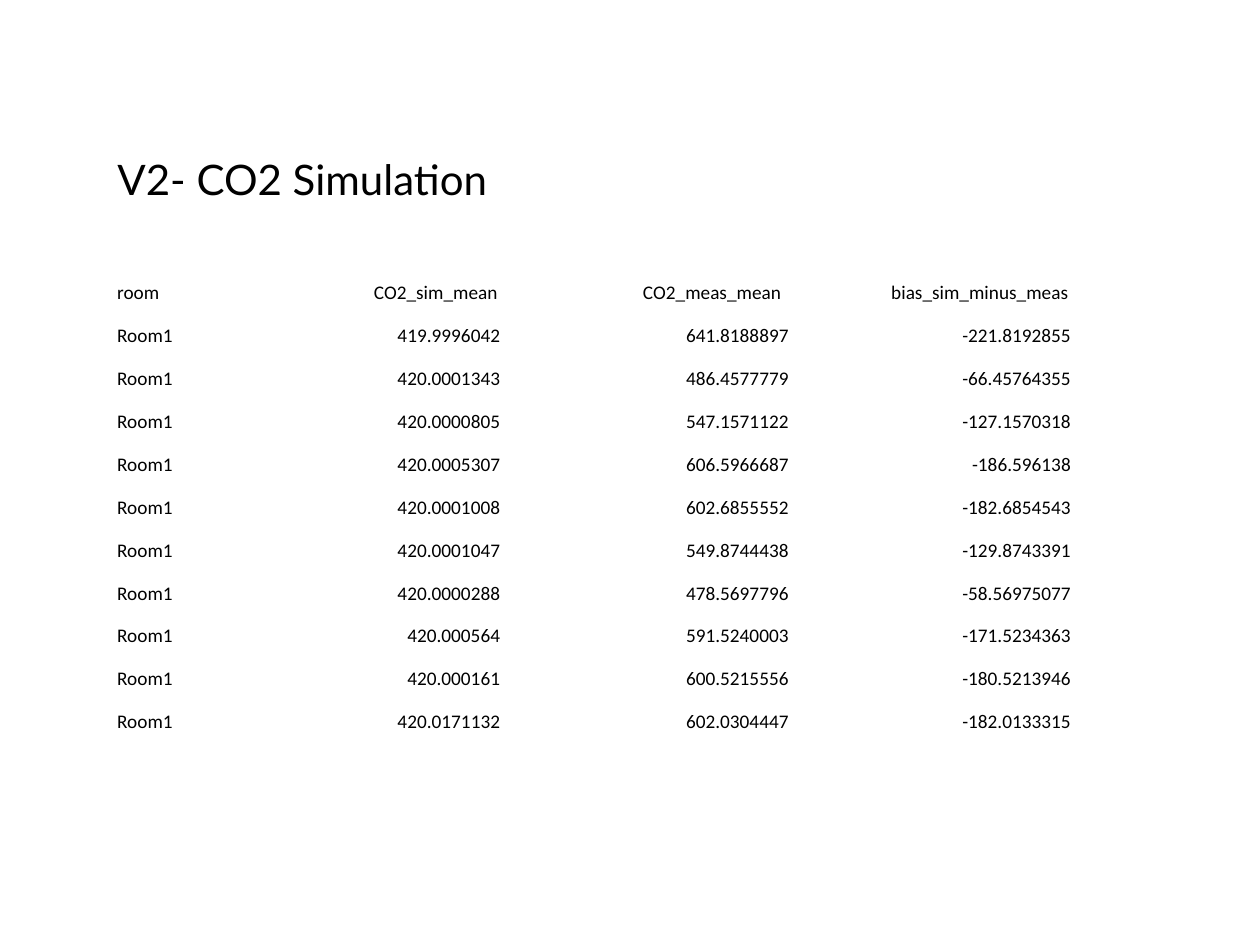
"""Build a slide that tabulates simulated against measured CO2 means."""
import pptx
import pptx.util
import pptx.dml.color
import pptx.enum.text

COLORS = {"text": "000000"}
WIDTH, HEIGHT = 10, 7.5
COLUMN_WIDTHS = [1, 2.06, 2.29, 2.24]
ROW_HEIGHT = 3.75 / 11
CELL_INSET = 0.01
HEADER_INSETS = [0.01, 0.03, 0.07, 0.03]

HEADERS = ["room", "CO2_sim_mean", "CO2_meas_mean", "bias_sim_minus_meas"]
MEANS = [
    ("419.9996042", "641.8188897", "-221.8192855"),
    ("420.0001343", "486.4577779", "-66.45764355"),
    ("420.0000805", "547.1571122", "-127.1570318"),
    ("420.0005307", "606.5966687", "-186.596138"),
    ("420.0001008", "602.6855552", "-182.6854543"),
    ("420.0001047", "549.8744438", "-129.8743391"),
    ("420.0000288", "478.5697796", "-58.56975077"),
    ("420.000564", "591.5240003", "-171.5234363"),
    ("420.000161", "600.5215556", "-180.5213946"),
    ("420.0171132", "602.0304447", "-182.0133315"),
]


def write(frame, text, font, size):
    """Put one formatted paragraph into a text frame and return it."""
    frame.text = text
    paragraph = frame.paragraphs[0]
    for run in paragraph.runs:
        run.font.name = font
        run.font.size = pptx.util.Pt(size)
        run.font.color.rgb = pptx.dml.color.RGBColor.from_string(COLORS["text"])
    return paragraph


def add_title(slide, text):
    """Add the slide's heading."""
    left, top, width, height = (
        pptx.util.Inches(value) for value in (WIDTH / 12, 1.17, 6.17, 0.5)
    )
    heading = slide.shapes.add_textbox(left, top, width, height).text_frame
    heading.word_wrap = True
    write(heading, text, "Lato", 24)


def fill_cell(cell, text, numeric, right_inset):
    """Format one table cell, with figures set to the right."""
    cell.fill.background()
    cell.vertical_anchor = pptx.enum.text.MSO_ANCHOR.BOTTOM
    cell.margin_left = cell.margin_top = pptx.util.Inches(CELL_INSET)
    cell.margin_right = pptx.util.Inches(right_inset)
    cell.margin_bottom = 0
    paragraph = write(cell.text_frame, text, "Calibri", 11)
    if numeric:
        paragraph.alignment = pptx.enum.text.PP_ALIGN.RIGHT


def add_results(slide, rows):
    """Add the table of results."""
    left, top, width, height = (
        pptx.util.Inches(value)
        for value in (0.92, 2.08, sum(COLUMN_WIDTHS), ROW_HEIGHT * len(rows))
    )
    results = slide.shapes.add_table(
        len(rows), len(COLUMN_WIDTHS), left, top, width, height
    ).table
    results.first_row = results.horz_banding = False
    for column, column_width in zip(results.columns, COLUMN_WIDTHS):
        column.width = pptx.util.Inches(column_width)
    for row_index, row in enumerate(rows):
        results.rows[row_index].height = pptx.util.Inches(ROW_HEIGHT)
        for column_index, text in enumerate(row):
            inset = CELL_INSET if row_index else HEADER_INSETS[column_index]
            cell = results.cell(row_index, column_index)
            fill_cell(cell, text, column_index > 0, inset)


def main():
    """Create and save the presentation."""
    presentation = pptx.Presentation()
    presentation.slide_width = pptx.util.Inches(WIDTH)
    presentation.slide_height = pptx.util.Inches(HEIGHT)
    slide = presentation.slides.add_slide(presentation.slide_layouts[6])
    add_title(slide, "V2- CO2 Simulation")
    add_results(slide, [HEADERS] + [("Room1", *means) for means in MEANS])
    presentation.save("out.pptx")


if __name__ == "__main__":
    main()
